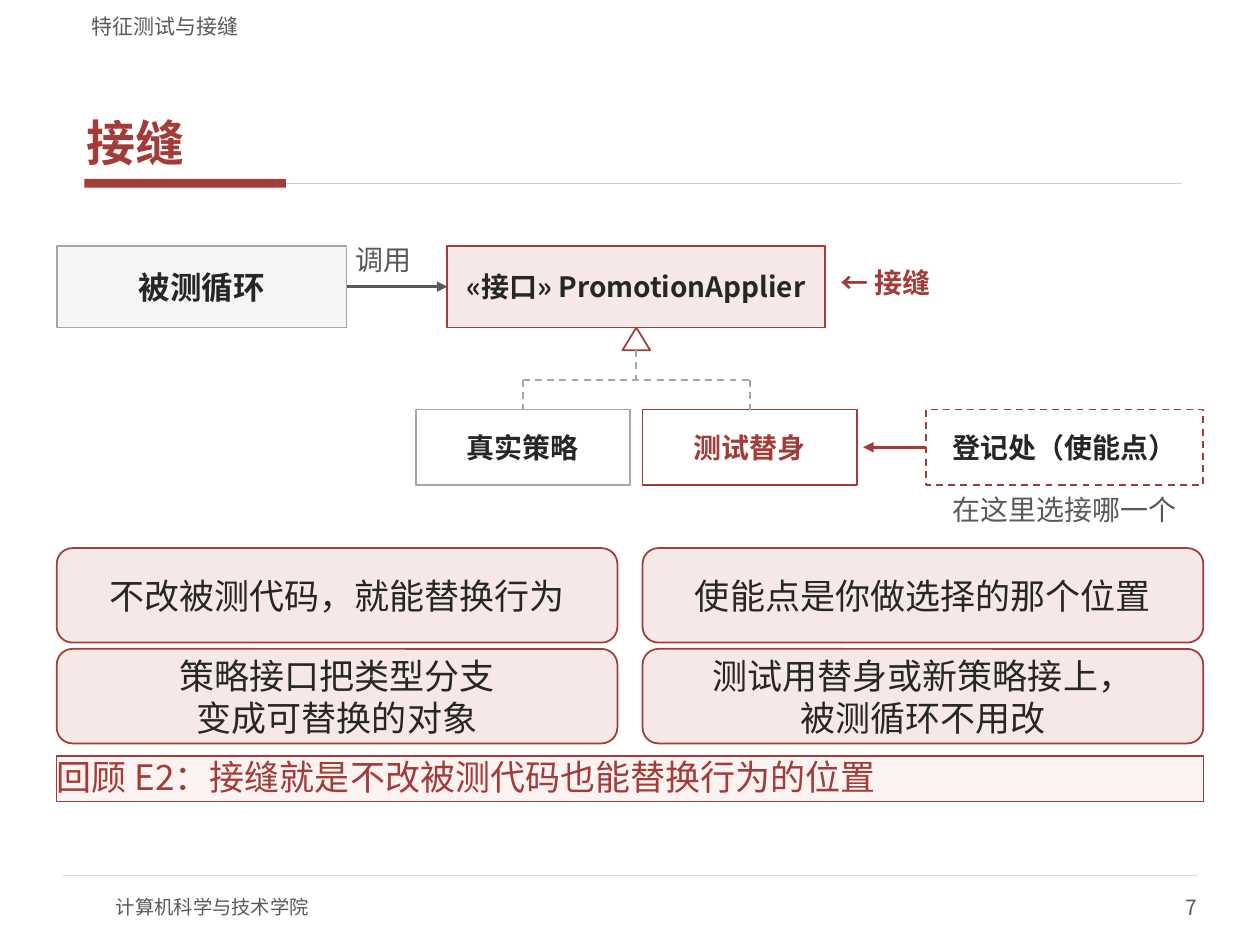
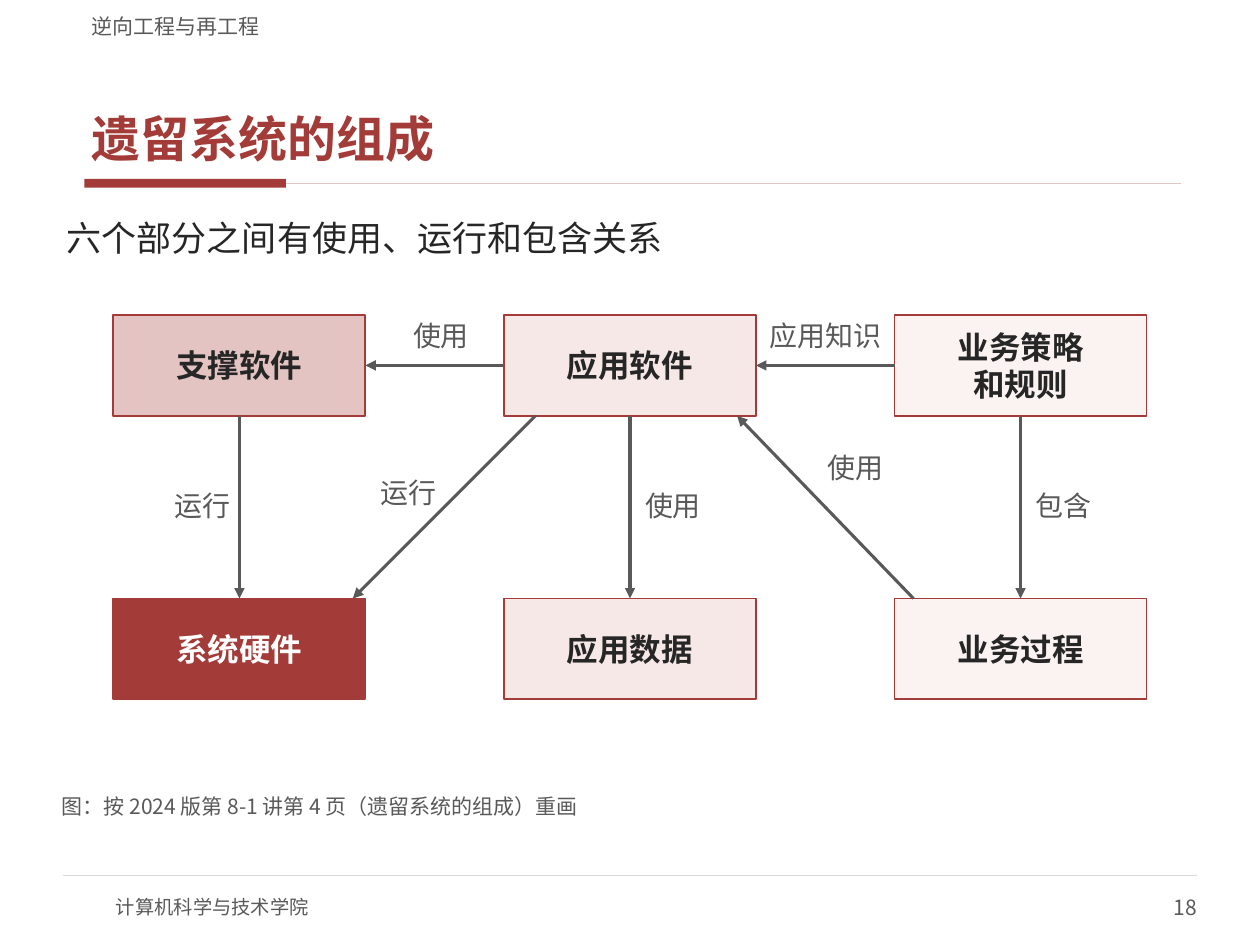
from pptx import Presentation
from pptx.dml.color import RGBColor
from pptx.enum.dml import MSO_LINE_DASH_STYLE as Dash
from pptx.enum.shapes import MSO_CONNECTOR as Link, MSO_SHAPE as Kind
from pptx.enum.text import MSO_ANCHOR as Anchor, PP_ALIGN as Align
from pptx.oxml.ns import qn
from pptx.util import Pt
from lxml.etree import SubElement as Sub

# Content
SCHOOL = "计算机科学与技术学院"
SEAM = dict(head="特征测试与接缝", title="接缝", page="7")
CARDS = [
    ["不改被测代码，就能替换行为", "使能点是你做选择的那个位置"],
    ["策略接口把类型分支\n变成可替换的对象", "测试用替身或新策略接上，\n被测循环不用改"],
]
RECAP = "回顾 E2：接缝就是不改被测代码也能替换行为的位置"

PARTS = dict(head="逆向工程与再工程", title="遗留系统的组成", page="18")
LEAD = "六个部分之间有使用、运行和包含关系"
# Grid of parts: text, fill, text colour
GRID = [
    [("支撑软件", "rose", "ink"), ("应用软件", "blush", "ink"),
     ("业务策略\n和规则", "pale", "ink")],
    [("系统硬件", "red", "white"), ("应用数据", "blush", "ink"),
     ("业务过程", "pale", "ink")],
]
# Links between grid cells: (row, column), side
LINKS = [
    ((0, 1), 1, (0, 0), 3), ((0, 2), 1, (0, 1), 3),
    ((0, 0), 2, (1, 0), 0), ((0, 1), 2, (1, 1), 0), ((0, 2), 2, (1, 2), 0),
]
SLANTS = [((306, 237.6), (201.6, 342)), ((522, 342), (421.2, 237.6))]
# Link labels: text, left, top, width, alignment
LABELS = [
    ("使用", 216, 180, 72, "c"), ("应用知识", 432, 180, 79.2, "c"),
    ("运行", 68.4, 277.2, 64.8, "r"), ("运行", 216, 270, 57.6, "l"),
    ("使用", 367.2, 277.2, 57.6, "l"), ("使用", 471.6, 255.6, 57.6, "l"),
    ("包含", 590.4, 277.2, 57.6, "l"),
]
SOURCE = "图：按 2024 版第 8-1 讲第 4 页（遗留系统的组成）重画"

# Style
HUES = dict(red="A33B38", rose="E3C4C2", blush="F6E8E6", pale="FBF3F2",
            ink="262626", gray="595959", mid="A6A6A6", rule="D9D9D9",
            mist="F5F5F5", white="FFFFFF")
FONT = "Noto Sans CJK SC"
ALIGN = dict(l=Align.LEFT, c=Align.CENTER, r=Align.RIGHT)
ANCHOR = dict(t=Anchor.TOP, m=Anchor.MIDDLE, b=Anchor.BOTTOM)
LEFT, WIDE = 32.4, 655.2
TAG = 23.04  # label height


def hue(name):
    return RGBColor.from_string(HUES[name])


def write(shape, text, size=16, color="ink", bold=False, align="l",
          anchor="m", pad=(1.44, 0.72), lead=None):
    frame = shape.text_frame
    frame.word_wrap = True
    frame.vertical_anchor = ANCHOR[anchor]
    frame.margin_left = frame.margin_right = Pt(pad[0])
    frame.margin_top = frame.margin_bottom = Pt(pad[1])
    para = frame.paragraphs[0]
    para.alignment = ALIGN[align]
    if lead:
        para.line_spacing = lead
    for i, line in enumerate(text.split("\n")):
        if i:
            para.add_line_break()
        run = para.add_run()
        run.text = line
        run.font.size, run.font.bold = Pt(size), bold
        run.font.color.rgb = hue(color)
        run.font.name = FONT
        Sub(run.font._element, qn("a:ea"), typeface=FONT)


def label(slide, text, x, y, w, h=TAG, **form):
    box = slide.shapes.add_textbox(Pt(x), Pt(y), Pt(w), Pt(h))
    write(box, text, **{"color": "gray", **form})


def stroke(line, color, width, dash=False):
    line.color.rgb, line.width = hue(color), Pt(width)
    if dash:
        line.dash_style = Dash.DASH


def block(slide, x, y, w, h, fill, edge="red", text="", kind=Kind.RECTANGLE,
          width=1, dash=False, **form):
    shape = slide.shapes.add_shape(kind, Pt(x), Pt(y), Pt(w), Pt(h))
    shape.shadow.inherit = False
    shape.fill.solid()
    shape.fill.fore_color.rgb = hue(fill)
    if edge:
        stroke(shape.line, edge, width, dash)
    else:
        shape.line.fill.background()
    if text:
        base = dict(bold=True, align="c", pad=(5.76, 2.88))
        write(shape, text, **{**base, **form})
    return shape


def join(slide, start, end, color="gray", width=1.75, dash=False, arrow=True):
    """Each end is a point (x, y) or a joint (shape, side)."""
    spots = [(0, 0) if hasattr(e[0], "shape_id") else e for e in (start, end)]
    (x1, y1), (x2, y2) = spots
    line = slide.shapes.add_connector(Link.STRAIGHT, Pt(x1), Pt(y1), Pt(x2), Pt(y2))
    if spots[0] is not start:
        line.begin_connect(*start)
    if spots[1] is not end:
        line.end_connect(*end)
    stroke(line.line, color, width, dash)
    if arrow:
        Sub(line.line._get_or_add_ln(), qn("a:tailEnd"), type="triangle")
    Sub(line._element.spPr, qn("a:effectLst"))


def start(deck, info, **form):
    """New slide with running head, title, rules and footer."""
    slide = deck.slides.add_slide(deck.slide_layouts[6])
    block(slide, 48.24, 102.24, 115.2, 5.04, "red", None)
    for x1, x2, y, color, width in [(163.44, 674.64, 104.8, "rose", 1),
                                    (36, 684, 500.4, "rule", 0.75)]:
        join(slide, (x1, y), (x2, y), color, width, arrow=False)
    label(slide, SCHOOL, 66.24, 504, 288, 28.8, size=11, pad=(0, 0))
    label(slide, info["page"], 540, 504, 144, 28.8, size=12, align="r", pad=(0, 0))
    label(slide, info["head"], 45.36, 2.88, 630, 19.44, size=12, anchor="b",
          pad=(7.2, 0))
    label(slide, info["title"], 45.36, 23.76, 630, 75.6, size=28, color="red",
          bold=True, anchor="b", **form)
    return slide


def seam(deck):
    slide = start(deck, SEAM, pad=(4.32, 1.44))
    # Caller and interface
    loop = block(slide, LEFT, 140.4, 165.6, 46.8, "mist", "mid", "被测循环", size=18)
    face = block(slide, 255.6, 140.4, 216, 46.8, "blush",
                 text="«接口» PromotionApplier")
    join(slide, (loop, 3), (face, 1))
    label(slide, "调用", 201.6, 136.8, 57.6)
    label(slide, "← 接缝", 478.8, 149.76, 86.4, color="red", bold=True)
    # Implementations and the place that picks one
    row = dict(y=234, h=43.2, fill="white")
    real = block(slide, 237.6, w=122.4, edge="mid", text="真实策略", **row)
    fake = block(slide, 367.2, w=122.4, text="测试替身", color="red", **row)
    desk = block(slide, 529.2, w=158.4, text="登记处（使能点）", dash=True, **row)
    join(slide, (desk, 1), (493.2, 255.6), "red")
    label(slide, "在这里选接哪一个", 529.2, 279.36, 158.4, align="c")
    # Inheritance tree
    mid, bar = 363.6, 217.08
    ends = (298.8, bar), (428.4, bar)
    block(slide, mid - 7.92, 187.2, 15.84, 12.96, "white",
          kind=Kind.ISOSCELES_TRIANGLE)
    for a, b in [((mid, 200.16), (mid, bar)), ends,
                 (ends[0], (real, 0)), (ends[1], (fake, 0))]:
        join(slide, a, b, "mid", 1, dash=True, arrow=False)
    # Cards and recap
    for r, texts in enumerate(CARDS):
        for c, text in enumerate(texts):
            block(slide, LEFT + 334.8 * c, 313.2 + 57.6 * r, 320.4, 54, "blush",
                  text=text, kind=Kind.ROUNDED_RECTANGLE, size=20, bold=False)
    block(slide, LEFT, 432, WIDE, 25.92, "pale", text=RECAP, width=0.75, size=20,
          color="red", bold=False, align="l", anchor="t", pad=(0, 0))


def parts(deck):
    slide = start(deck, PARTS, pad=(7.2, 3.6), lead=0.9)
    label(slide, LEAD, LEFT, 120.96, WIDE, 32.4, size=20, color="ink", anchor="t",
          pad=(5.76, 2.88))
    # Six parts
    cells = {}
    for r, row in enumerate(GRID):
        for c, (text, fill, color) in enumerate(row):
            cells[r, c] = block(slide, 64.8 + 223.2 * c, 180 + 162 * r, 144, 57.6,
                                fill, text=text, size=18, color=color)
    # Relations
    for a, out, b, into in LINKS:
        join(slide, (cells[a], out), (cells[b], into))
    for a, b in SLANTS:
        join(slide, a, b)
    for text, x, y, w, align in LABELS:
        label(slide, text, x, y, w, align=align)
    label(slide, SOURCE, LEFT, 453.6, WIDE, 15.84, size=12, anchor="b",
          pad=(2.88, 1.44))


def main():
    deck = Presentation()
    deck.slide_width, deck.slide_height = Pt(720), Pt(540)
    seam(deck)
    parts(deck)
    deck.save("out.pptx")


if __name__ == "__main__":
    main()
